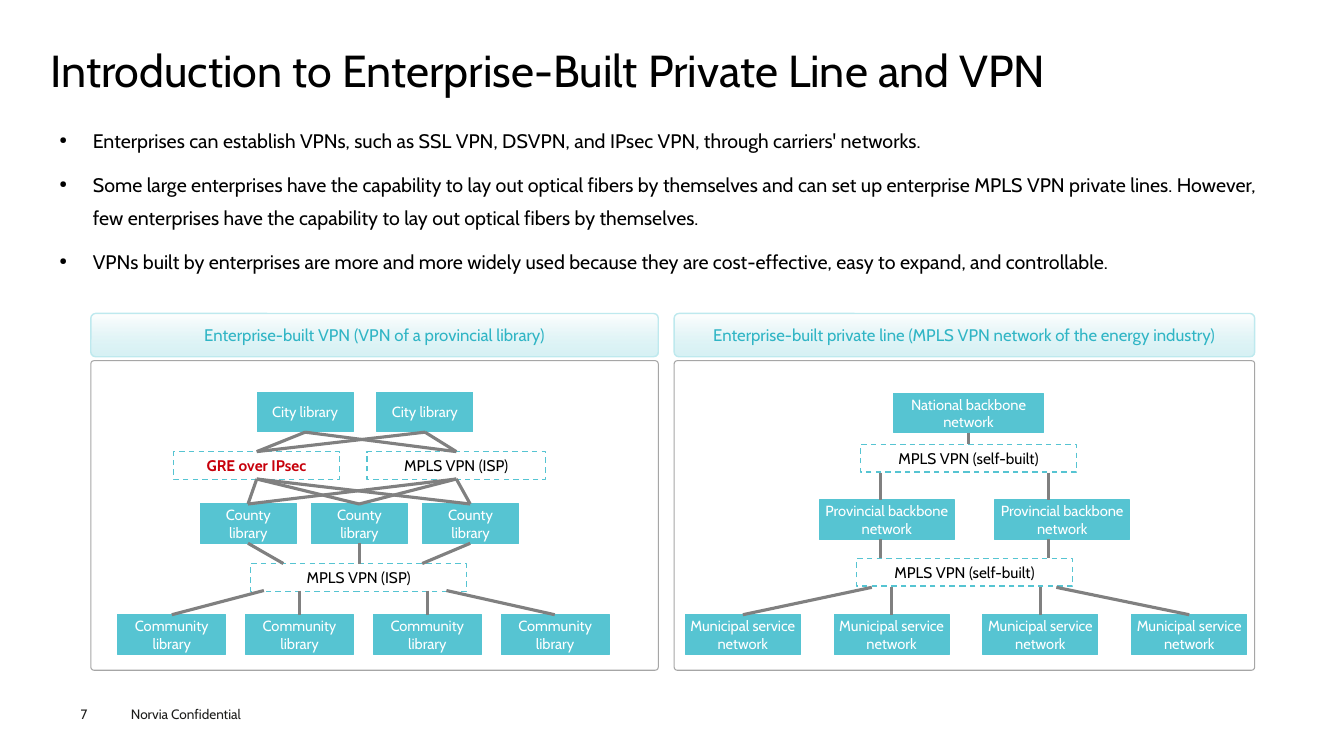
from lxml import etree
from pptx import Presentation
from pptx.dml.color import RGBColor
from pptx.enum.dml import MSO_LINE
from pptx.enum.shapes import MSO_CONNECTOR, MSO_SHAPE
from pptx.enum.text import MSO_ANCHOR, PP_ALIGN
from pptx.oxml.ns import qn
from pptx.util import Cm, Pt

RECTANGLE, ROUNDED = MSO_SHAPE.RECTANGLE, MSO_SHAPE.ROUNDED_RECTANGLE
STRAIGHT, DASH = MSO_CONNECTOR.STRAIGHT, MSO_LINE.DASH
LEFT, CENTER = PP_ALIGN.LEFT, PP_ALIGN.CENTER
TOP, MIDDLE = MSO_ANCHOR.TOP, MSO_ANCHOR.MIDDLE

FONT = "Cabin"
BLACK = RGBColor(0x00, 0x00, 0x00)
WHITE = RGBColor(0xFF, 0xFF, 0xFF)
INK = RGBColor(0x1D, 0x1D, 0x1B)
RED = RGBColor(0xC7, 0x00, 0x0B)
TEAL = RGBColor(0x56, 0xC4, 0xD2)
DARK_TEAL = RGBColor(0x30, 0xB5, 0xC5)
PALE_TEAL = RGBColor(0xBE, 0xE9, 0xEE)
FRAME_GRAY = RGBColor(0xA6, 0xA6, 0xA6)
LINK_GRAY = RGBColor(0x80, 0x80, 0x80)


def write(box, lines, size, color, align=LEFT, anchor=TOP, side=0, edge=0):
    """Fill the box with one paragraph per line; side and edge are margins in cm."""
    frame = box.text_frame
    frame.word_wrap = True
    frame.vertical_anchor = anchor
    frame.margin_left = frame.margin_right = Cm(side)
    frame.margin_top = frame.margin_bottom = Cm(edge)
    for index, line in enumerate(lines):
        para = frame.add_paragraph() if index else frame.paragraphs[0]
        para.text = line
        para.alignment = align
        para.font.name = FONT
        para.font.size = Pt(size)
        para.font.color.rgb = color
    return frame.paragraphs


def add_box(shapes, kind, place, border, weight, fill=None):
    box = shapes.add_shape(kind, *map(Cm, place))
    box.shadow.inherit = False
    if fill is None:
        box.fill.background()
    else:
        box.fill.solid()
        box.fill.fore_color.rgb = fill
    box.line.color.rgb = border
    box.line.width = Pt(weight)
    return box


deck = Presentation()
deck.slide_width, deck.slide_height = Cm(33.87), Cm(19.05)
page = deck.slides.add_slide(deck.slide_layouts[6])

# Footer and title
footer = page.shapes.add_textbox(Cm(3.05), Cm(17.65), Cm(4.06), Cm(0.69))
write(footer, ["Norvia Confidential"], 9.7, INK, side=0.25, edge=0.13)
number = page.shapes.add_textbox(Cm(2.03), Cm(17.78), Cm(1.4), Cm(0.41))
write(number, ["7"], 9.7, INK)
title = page.shapes.add_textbox(Cm(1.27), Cm(1.24), Cm(31.37), Cm(1.37))
title_paras = write(title, ["Introduction to Enterprise-Built Private Line and VPN"], 32, BLACK)
title_paras[0].line_spacing = 0.9

# Bulleted text
points = [
    "Enterprises can establish VPNs, such as SSL VPN, DSVPN, and IPsec VPN, "
    "through carriers' networks.",
    "Some large enterprises have the capability to lay out optical fibers by themselves "
    "and can set up enterprise MPLS VPN private lines. However, few enterprises have "
    "the capability to lay out optical fibers by themselves.",
    "VPNs built by enterprises are more and more widely used because they are "
    "cost-effective, easy to expand, and controllable.",
]
body = page.shapes.add_textbox(Cm(1.27), Cm(2.92), Cm(31.37), Cm(13.54))
for para in write(body, points, 14, BLACK, side=0.23, edge=0.1):
    para.line_spacing = 1.4
    para.space_before = Pt(7.9)
    properties = para._p.get_or_add_pPr()
    properties.set("marL", str(Cm(0.84)))
    properties.set("indent", str(-Cm(0.84)))
    bullet_size = etree.Element(qn("a:buSzPct"), val="50000")
    bullet = etree.Element(qn("a:buChar"), char="●")
    defaults = properties.find(qn("a:defRPr"))
    defaults.addprevious(bullet_size)
    defaults.addprevious(bullet)

# Panels with gradient headings
panels = [
    (2.29, 14.3, "Enterprise-built VPN (VPN of a provincial library)"),
    (16.99, 14.63, "Enterprise-built private line (MPLS VPN network of the energy industry)"),
]
for left, width, heading in panels:
    header = add_box(page.shapes, ROUNDED, (left, 7.9, width, 1.09), PALE_TEAL, 1)
    header.adjustments[0] = 0.11
    header.fill.gradient()
    header.fill.gradient_angle = 270
    for stop, color in zip(header.fill.gradient_stops, (WHITE, PALE_TEAL)):
        stop.color.rgb = color
    gradient = header._element.spPr.find(qn("a:gradFill"))
    end_color = gradient.findall(".//" + qn("a:srgbClr"))[-1]
    etree.SubElement(end_color, qn("a:alpha"), val="60000")
    write(header, [heading], 12, DARK_TEAL, CENTER, MIDDLE)
    panel = add_box(page.shapes, ROUNDED, (left, 9.09, width, 7.8), FRAME_GRAY, 0.75)
    panel.adjustments[0] = 0.01

# Each row of nodes: text, count, left, pitch, top, width
library_rows = [
    ("County library", 3, 5.05, 2.8, 12.7, 2.42),
    ("Community library", 4, 2.97, 3.22, 15.49, 2.72),
    ("City library", 2, 6.48, 3.02, 9.88, 2.42),
]
energy_rows = [
    ("Provincial backbone network", 2, 20.65, 4.42, 12.6, 3.4),
    ("National backbone network", 1, 22.53, 0, 9.91, 3.76),
    ("Municipal service network", 4, 17.27, 3.75, 15.49, 2.9),
]
# Each VPN: text, left, top, width, color
library_vpns = [
    ("GRE over IPsec", 4.37, 11.38, 4.19, RED),
    ("MPLS VPN (ISP)", 9.25, 11.38, 4.5, BLACK),
    ("MPLS VPN (ISP)", 6.32, 14.2, 5.44, BLACK),
]
energy_vpns = [
    ("MPLS VPN (self-built)", 21.59, 14.07, 5.44, BLACK),
    ("MPLS VPN (self-built)", 21.69, 11.2, 5.44, BLACK),
]
# Each set of links: upper y, lower y, pairs of upper x and lower x
vpn_centers, county_centers, city_centers = (6.47, 11.5), (6.25, 9.05, 11.85), (7.69, 10.71)
library_links = [
    (14.88, 15.49, [(6.65, 4.33), (7.55, 7.55), (10.77, 10.77), (11.25, 13.98)]),
    (13.69, 14.2, list(zip(county_centers, (7.14, 9.05, 10.64)))),
    (12.07, 12.7, [(vpn, county) for vpn in vpn_centers for county in county_centers]),
    (10.89, 11.38, [(city, vpn) for city in city_centers for vpn in vpn_centers]),
]
energy_links = [
    (10.9, 11.2, [(24.41, 24.41)]),
    (11.91, 12.6, [(22.2, 22.2), (26.42, 26.42)]),
    (13.59, 14.05, [(22.2, 22.2), (26.42, 26.42)]),
    (14.8, 15.49, [(21.97, 18.72), (22.46, 22.46), (26.23, 26.23), (26.62, 29.97)]),
]
diagrams = [
    (library_rows, library_vpns, library_links, 0.25),
    (energy_rows, energy_vpns, energy_links, 0.1),
]
for rows, vpns, links, side in diagrams:
    shapes = page.shapes.add_group_shape().shapes
    for text, count, left, pitch, top, width in rows:
        for column in range(count):
            place = (left + column * pitch, top, width, 1)
            node = add_box(shapes, RECTANGLE, place, TEAL, 0.75, TEAL)
            write(node, [text], 10.5, WHITE, CENTER, MIDDLE, side, 0.13)
    for text, left, top, width, color in vpns:
        vpn = add_box(shapes, RECTANGLE, (left, top, width, 0.7), TEAL, 1, WHITE)
        vpn.line.dash_style = DASH
        vpn_paras = write(vpn, [text], 11, color, CENTER, MIDDLE, 0.25, 0.13)
        vpn_paras[0].font.bold = color == RED
    for upper, lower, pairs in links:
        for start, end in pairs:
            link = shapes.add_connector(STRAIGHT, Cm(start), Cm(upper), Cm(end), Cm(lower))
            link.line.color.rgb = LINK_GRAY
            link.line.width = Pt(2.25)
            etree.SubElement(link._element.spPr, qn("a:effectLst"))

deck.save("out.pptx")
